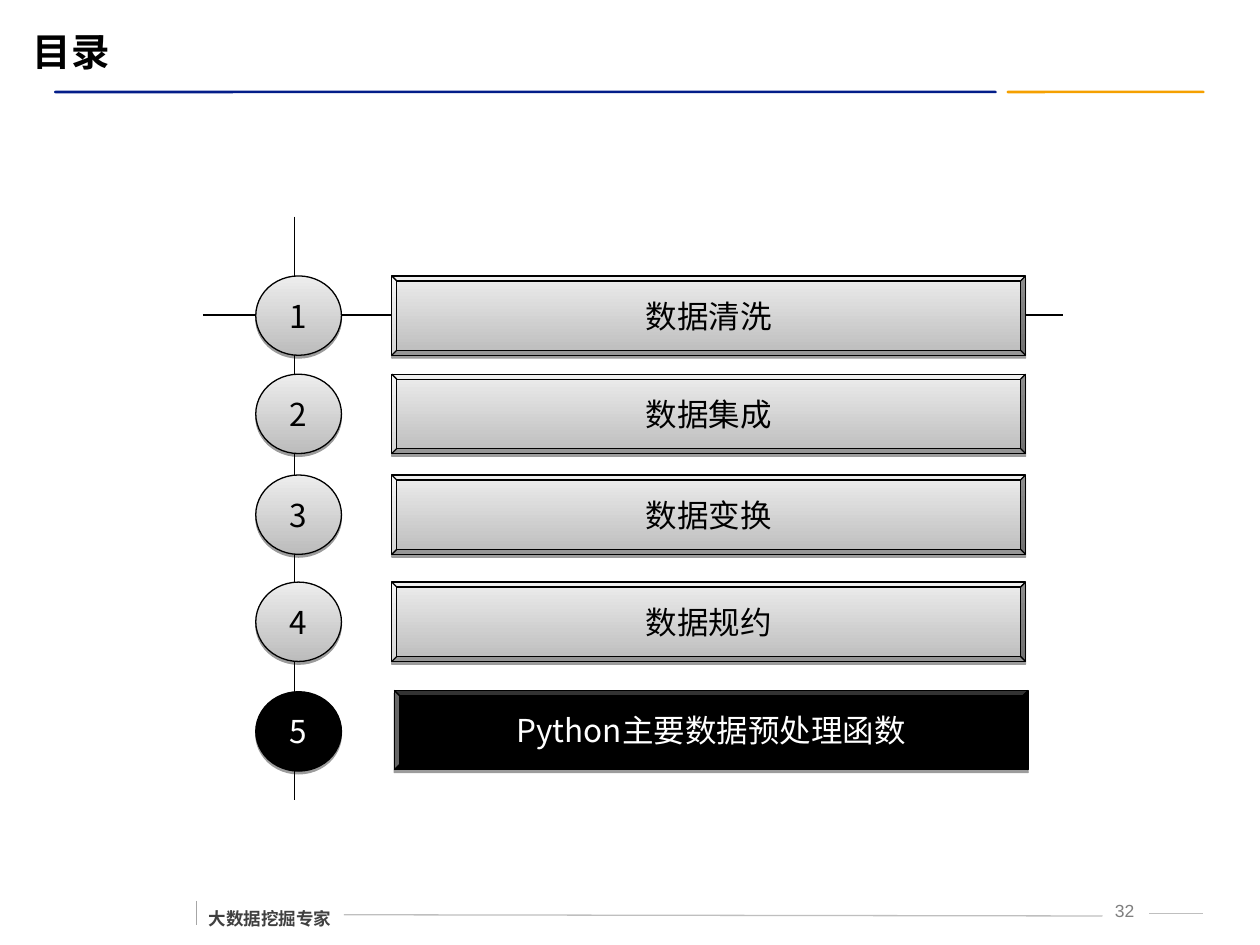
from lxml.etree import SubElement
from pptx import Presentation
from pptx.dml.color import RGBColor
from pptx.enum.shapes import MSO_CONNECTOR as Connector, MSO_SHAPE as Shape
from pptx.enum.text import MSO_ANCHOR as Anchor, MSO_AUTO_SIZE as AutoSize, PP_ALIGN as Align
from pptx.oxml.ns import qn
from pptx.util import Inches, Pt

BLACK = RGBColor(0x00, 0x00, 0x00)
WHITE = RGBColor(0xFF, 0xFF, 0xFF)
BLUE = RGBColor(0x03, 0x1D, 0x89)
ORANGE = RGBColor(0xF5, 0xA0, 0x00)
DARK_GREY = RGBColor(0x40, 0x40, 0x40)
MID_GREY = RGBColor(0x7F, 0x7F, 0x7F)
TICK_GREY = RGBColor(0xA6, 0xA6, 0xA6)
RULE_GREY = RGBColor(0xBF, 0xBF, 0xBF)
GRADIENT = (RGBColor(0xBC, 0xBC, 0xBC), RGBColor(0xED, 0xED, 0xED))
CJK, LATIN = "Noto Sans CJK SC", "Arial"

TITLE = "目录"
FOOTER = "大数据挖掘专家"
PAGE = "32"
# number, topic, circle top, bar left, bar top, current chapter
CHAPTERS = [
    ("1", "数据清洗", 2.19, 3.11, 2.19, False),
    ("2", "数据集成", 2.97, 3.11, 2.97, False),
    ("3", "数据变换", 3.77, 3.11, 3.77, False),
    ("4", "数据规约", 4.62, 3.11, 4.62, False),
    ("5", "Python主要数据预处理函数", 5.49, 3.13, 5.48, True),
]
HEADER_RULES = [(0.43, 7.48, BLUE), (7.99, 1.57, ORANGE)]
LINES = [
    (2.73, 7.26, 8.75, 7.27, RULE_GREY),
    (9.12, 7.25, 9.55, 7.25, RULE_GREY),
    (1.56, 7.15, 1.56, 7.34, TICK_GREY),
    (2.34, 1.72, 2.34, 6.35, BLACK),
    (1.61, 2.5, 8.44, 2.5, BLACK),
]
CIRCLE_LEFT, CIRCLE_WIDTH, BAR_WIDTH, ROW_HEIGHT = 2.03, 0.68, 5.03, 0.63
BEVEL = 0.04


def write(frame, text, size, color, font=CJK, bold=False, align=Align.LEFT):
    paragraph = frame.paragraphs[0]
    paragraph.alignment = align
    run = paragraph.add_run()
    run.text = text
    run.font.size = Pt(size)
    run.font.bold = bold
    run.font.color.rgb = color
    run.font.name = font
    SubElement(run.font._element, qn("a:ea"), typeface=CJK)
    return paragraph


def add_line(slide, x1, y1, x2, y2, color):
    line = slide.shapes.add_connector(
        Connector.STRAIGHT, Inches(x1), Inches(y1), Inches(x2), Inches(y2))
    line.line.color.rgb = color
    line.line.width = Pt(0.75)
    SubElement(line._element.spPr, qn("a:effectLst"))


def add_header_rule(slide, left, width, color):
    rule = slide.shapes.add_shape(
        Shape.ROUNDED_RECTANGLE, Inches(left), Inches(0.72), Inches(width), Inches(0.02))
    rule.shadow.inherit = False
    rule.adjustments[0] = 0.5
    rule.fill.solid()
    rule.fill.fore_color.rgb = color
    rule.line.fill.background()


def add_drop_shadow(shape):
    shape.shadow.inherit = False
    effects = shape._element.spPr.find(qn("a:effectLst"))
    shadow = SubElement(effects, qn("a:outerShdw"), blurRad="0", dist=str(Pt(1.6)),
                        dir="5400000", rotWithShape="0")
    color = SubElement(shadow, qn("a:srgbClr"), val=str(BLACK))
    SubElement(color, qn("a:alpha"), val="38000")


def add_button(slide, preset, left, top, width, label, current):
    button = slide.shapes.add_shape(
        preset, Inches(left), Inches(top), Inches(width), Inches(ROW_HEIGHT))
    if current:
        button.fill.solid()
        button.fill.fore_color.rgb = BLACK
    else:
        button.fill.gradient()
        button.fill.gradient_angle = 90
        for stop, color, position in zip(button.fill.gradient_stops, GRADIENT, (0, 1)):
            stop.color.rgb = color
            stop.position = position
    button.line.color.rgb = BLACK
    button.line.width = Pt(0.75)
    add_drop_shadow(button)
    frame = button.text_frame
    frame.word_wrap = False
    frame.vertical_anchor = Anchor.MIDDLE
    write(frame, label, 18, WHITE if current else BLACK, align=Align.CENTER)
    return button


def add_frame(slide, left, top, width, height, wrap):
    box = slide.shapes.add_textbox(Inches(left), Inches(top), Inches(width), Inches(height))
    box.text_frame.word_wrap = wrap
    return box.text_frame


def main():
    prs = Presentation()
    prs.slide_width, prs.slide_height = Inches(10), Inches(7.5)
    slide = prs.slides.add_slide(prs.slide_layouts[5])

    title = slide.shapes.title
    title.left, title.top = Inches(0.16), Inches(0.17)
    title.width, title.height = Inches(9.1), Inches(0.47)
    title.text_frame.auto_size = AutoSize.NONE
    title.text_frame.vertical_anchor = Anchor.MIDDLE
    write(title.text_frame, TITLE, 22, BLACK, LATIN, bold=True)

    for rule in HEADER_RULES:
        add_header_rule(slide, *rule)
    for line in LINES:
        add_line(slide, *line)

    page = add_frame(slide, 8.69, 7.09, 0.47, 0.25, True)
    write(page, PAGE, 10, MID_GREY, LATIN, align=Align.CENTER)
    footer = add_frame(slide, 1.56, 7.07, 1.17, 0.35, False)
    write(footer, FOOTER, 10, DARK_GREY, bold=True).line_spacing = 1.5

    for number, topic, circle_top, bar_left, bar_top, current in CHAPTERS:
        add_button(slide, Shape.OVAL, CIRCLE_LEFT, circle_top, CIRCLE_WIDTH, number, current)
        bar = add_button(slide, Shape.BEVEL, bar_left, bar_top, BAR_WIDTH, topic, current)
        bar.adjustments[0] = BEVEL / ROW_HEIGHT

    prs.save("out.pptx")


if __name__ == "__main__":
    main()
